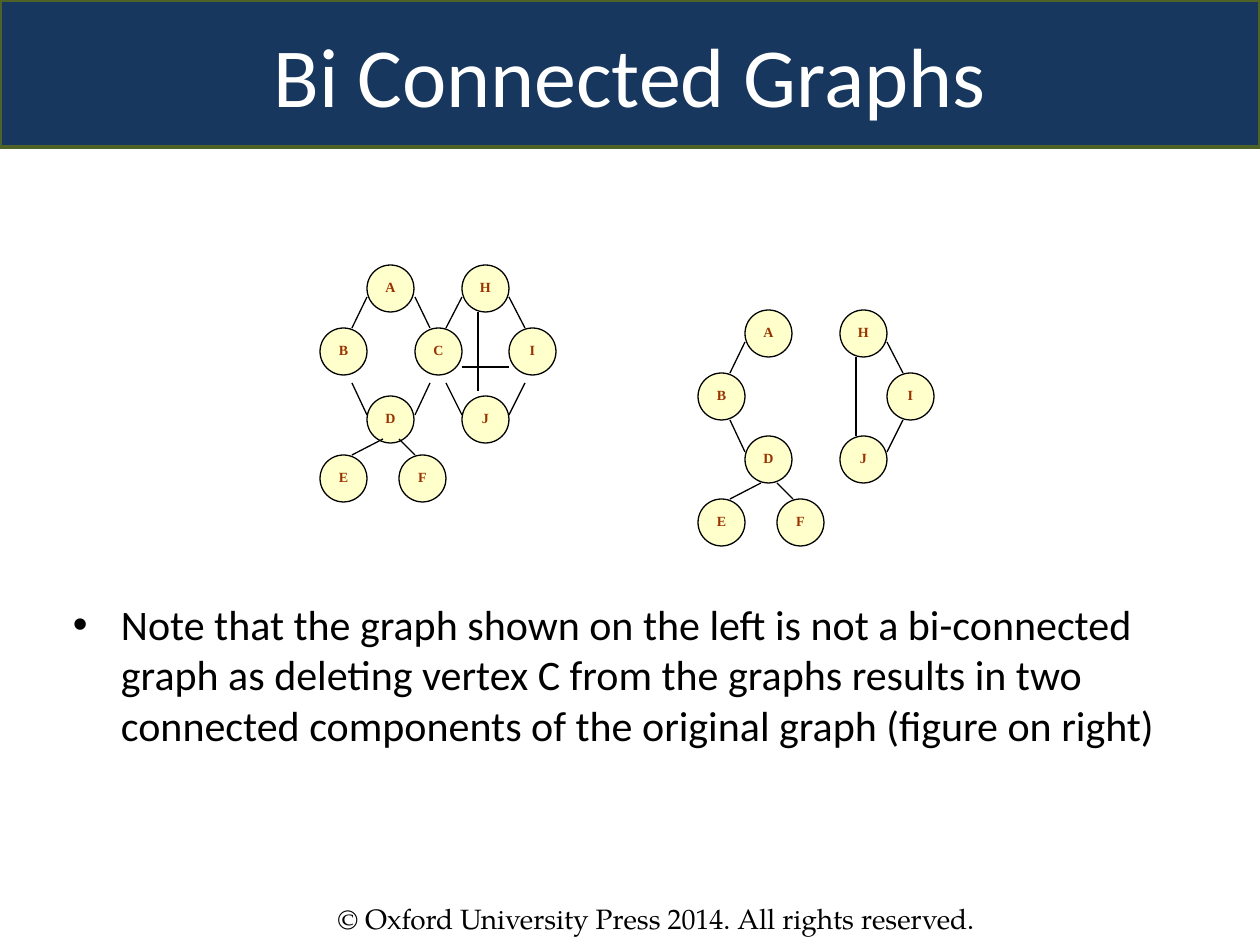
from lxml.etree import SubElement
from pptx import Presentation
from pptx.dml.color import RGBColor
from pptx.enum.shapes import MSO_CONNECTOR, MSO_SHAPE
from pptx.enum.text import MSO_ANCHOR as Anchor, PP_ALIGN as Align
from pptx.oxml.ns import qn
from pptx.util import Emu, Pt

PX = 914400 / 126
COLORS = {
    "banner": "17375E", "banner_line": "4F6228", "node": "FFFFCC",
    "label": "993300", "black": "000000", "white": "FFFFFF",
}
NODE_SIZE = 47

# Node offsets and edge ends are measured from the top left of each graph.
UPPER_NODES = {"A": (47, 0), "B": (0, 63), "H": (142, 0), "I": (189, 63)}
UPPER_EDGES = [(47, 32, 32, 63), (189, 32, 205, 63), (158, 126, 158, 47)]

WHOLE_NODES = UPPER_NODES | {
    "C": (95, 63), "D": (47, 131), "J": (142, 131), "E": (0, 190), "F": (79, 190),
}
WHOLE_EDGES = UPPER_EDGES + [
    (95, 32, 110, 63), (126, 63, 142, 32), (142, 102, 189, 102),
    (32, 118, 47, 150), (95, 150, 110, 118),
    (126, 118, 142, 150), (189, 150, 205, 118),
    (63, 174, 32, 190), (79, 174, 95, 190),
]
SPLIT_NODES = UPPER_NODES | {
    "D": (47, 126), "J": (142, 126), "E": (0, 189), "F": (79, 189),
}
SPLIT_EDGES = UPPER_EDGES + [
    (32, 110, 47, 142), (189, 142, 205, 110),
    (63, 173, 32, 189), (79, 173, 95, 189),
]


def px(*lengths):
    return [Emu(round(length * PX)) for length in lengths]


def color(name):
    return RGBColor.from_string(COLORS[name])


def set_font(para, name, size, color_name, bold=False):
    font = para.font
    font.name, font.size, font.bold = name, Pt(size), bold
    font.color.rgb = color(color_name)


def add_filled_shape(shapes, kind, box, fill, line, line_width):
    shape = shapes.add_shape(kind, *px(*box))
    shape.shadow.inherit = False
    shape.fill.solid()
    shape.fill.fore_color.rgb = color(fill)
    shape.line.color.rgb = color(line)
    shape.line.width = Pt(line_width)
    return shape


def add_banner(page, box, title):
    banner = add_filled_shape(page.shapes, MSO_SHAPE.ROUNDED_RECTANGLE, box,
                              "banner", "banner_line", 2)
    banner.adjustments[0] = 0
    frame = banner.text_frame
    frame.vertical_anchor = Anchor.MIDDLE
    para = frame.paragraphs[0]
    para.text, para.alignment = title, Align.CENTER
    set_font(para, "Calibri", 48, "white")


def add_node(shapes, left, top, label):
    node = add_filled_shape(shapes, MSO_SHAPE.OVAL, (left, top, NODE_SIZE, NODE_SIZE),
                            "node", "black", 0.75)
    frame = node.text_frame
    frame.vertical_anchor = Anchor.TOP
    frame.word_wrap = False
    para = frame.paragraphs[0]
    para.text, para.alignment = label, Align.CENTER
    set_font(para, "Times New Roman", 8, "label", bold=True)


def add_edge(shapes, x1, y1, x2, y2):
    edge = shapes.add_connector(MSO_CONNECTOR.STRAIGHT, *px(x1, y1, x2, y2))
    edge.line.color.rgb = color("black")
    edge.line.width = Pt(0.75)
    SubElement(edge._element.spPr, qn("a:effectLst"))


def add_graph(page, left, top, nodes, edges):
    shapes = page.shapes.add_group_shape().shapes
    for label, (x, y) in nodes.items():
        add_node(shapes, left + x, top + y, label)
    for x1, y1, x2, y2 in edges:
        add_edge(shapes, left + x1, top + y1, left + x2, top + y2)


def add_bullet(para, indent):
    """Give the paragraph a hanging bullet, indented in px."""
    props = para._p.get_or_add_pPr()
    [hang] = px(indent)
    props.set("marL", str(hang))
    props.set("indent", str(-hang))
    tint = SubElement(props, qn("a:buClr"))
    SubElement(tint, qn("a:srgbClr"), val=COLORS["black"])
    SubElement(props, qn("a:buFont"), typeface="Arial")
    SubElement(props, qn("a:buChar"), char="•")


def add_note(page, box, text):
    frame = page.shapes.add_textbox(*px(*box)).text_frame
    frame.word_wrap = True
    frame.vertical_anchor = Anchor.MIDDLE
    (frame.margin_left, frame.margin_top,
     frame.margin_right, frame.margin_bottom) = px(0, 21, 0, 5)
    para = frame.paragraphs[0]
    para.text = text
    add_bullet(para, 48)
    set_font(para, "Calibri", 24, "black")


def add_footer(page, box, text):
    frame = page.shapes.add_textbox(*px(*box)).text_frame
    frame.word_wrap = True
    para = frame.paragraphs[0]
    para.text = text
    set_font(para, "TeX Gyre Pagella", 16, "black")


def main():
    deck = Presentation()
    deck.slide_width, deck.slide_height = px(1260, 945)
    page = deck.slides.add_slide(deck.slide_layouts[6])
    page.background.fill.solid()
    page.background.fill.fore_color.rgb = color("white")

    add_footer(page, (325, 895, 746, 47),
               "© Oxford University Press 2014. All rights reserved.")
    add_banner(page, (0, 0, 1260, 147), "Bi Connected Graphs")
    add_graph(page, 320, 265, WHOLE_NODES, WHOLE_EDGES)
    add_graph(page, 698, 310, SPLIT_NODES, SPLIT_EDGES)
    add_note(page, (73, 577, 1134, 178),
             "Note that the graph shown on the left is not a bi-connected graph "
             "as deleting vertex C from the graphs results in two connected "
             "components of the original graph (figure on right)")
    deck.save("out.pptx")


if __name__ == "__main__":
    main()
